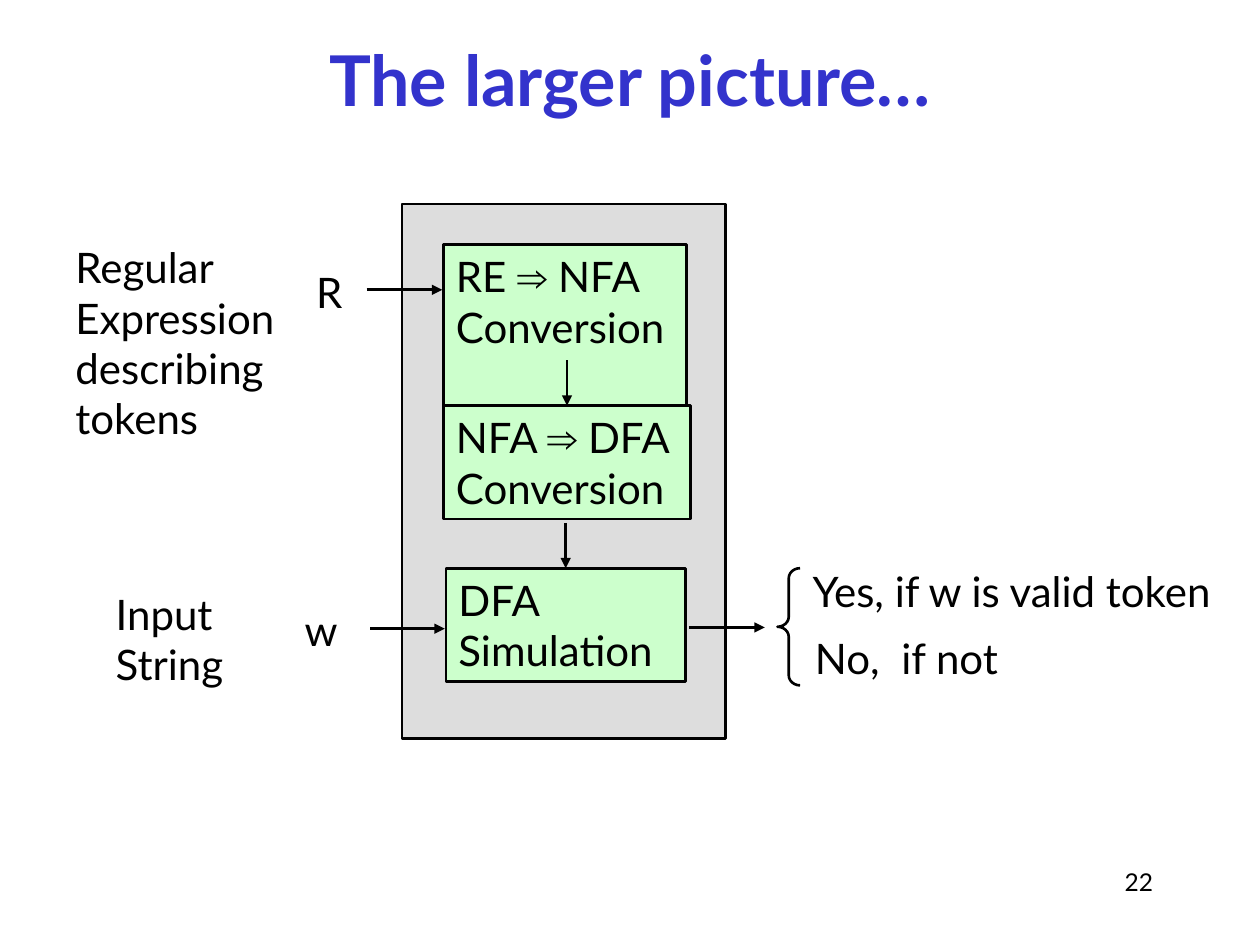
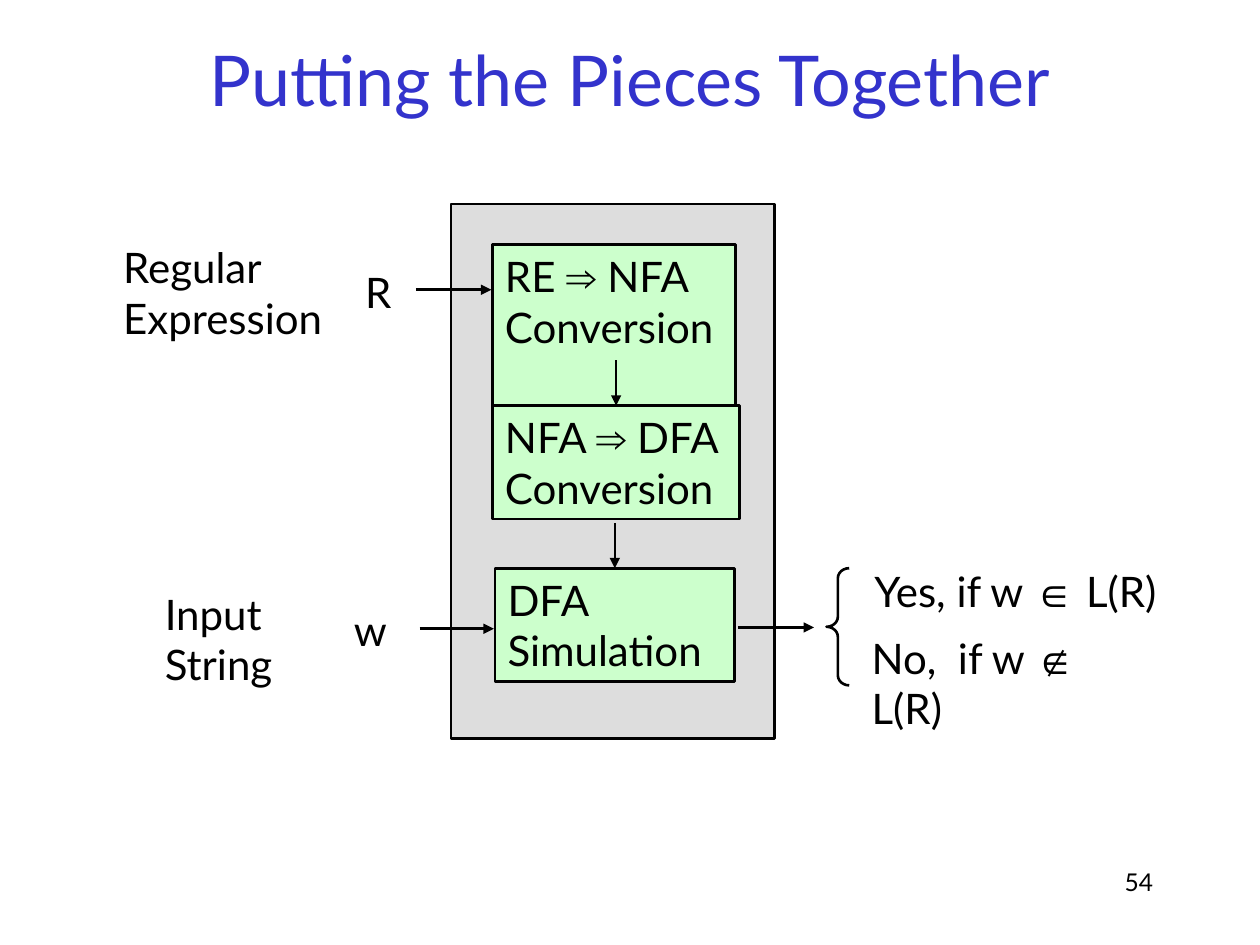
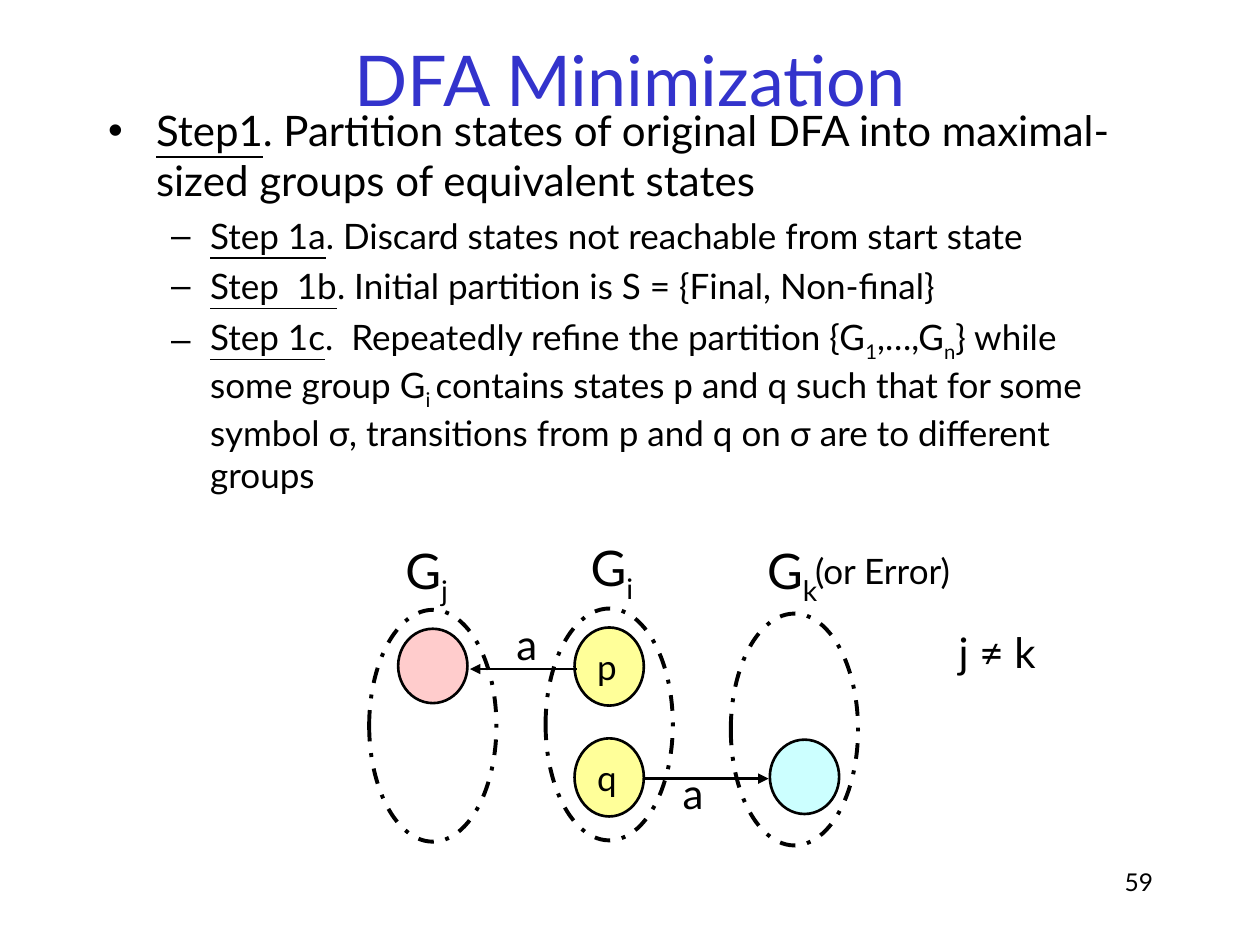
from dataclasses import dataclass

from lxml import etree
from pptx import Presentation
from pptx.dml.color import RGBColor
from pptx.enum.dml import MSO_LINE
from pptx.enum.shapes import MSO_CONNECTOR, MSO_SHAPE
from pptx.enum.text import MSO_ANCHOR, MSO_AUTO_SIZE, PP_ALIGN
from pptx.oxml.ns import qn
from pptx.util import Pt

PX = 9144  # 100 px to the inch
RECT, OVAL, BRACE = MSO_SHAPE.RECTANGLE, MSO_SHAPE.OVAL, MSO_SHAPE.LEFT_BRACE
STRAIGHT, DASH_DOT = MSO_CONNECTOR.STRAIGHT, MSO_LINE.DASH_DOT
LEFT, CENTER, RIGHT = PP_ALIGN.LEFT, PP_ALIGN.CENTER, PP_ALIGN.RIGHT
TOP, MIDDLE = MSO_ANCHOR.TOP, MSO_ANCHOR.MIDDLE
FIT, NO_FIT = MSO_AUTO_SIZE.SHAPE_TO_FIT_TEXT, MSO_AUTO_SIZE.NONE


@dataclass(frozen=True)
class Theme:
    font: str = "Lato"
    symbol: str = "Arial"
    ink: str = "000000"
    title: str = "3333CC"
    frame: str = "DDDDDD"
    step: str = "CCFFCC"
    state: str = "FFFF99"
    pink: str = "FFCCCC"
    cyan: str = "CCFFFF"
    head: int = 40
    group: int = 28
    text: int = 24
    small: int = 20
    page: int = 14
    thin: float = 1.5
    thick: float = 2.25


T = Theme()

# A paragraph is a list of runs; a run is a string or (string, style).
ARROW = ("⇒", "symbol")
STEPS = {
    "re": ((352, 194, 193, 130), [["RE ", ARROW, " NFA"], ["Conversion"]]),
    "nfa": ((352, 322, 196, 90), [["NFA ", ARROW, " DFA"], ["Conversion"]]),
    "dfa": ((354, 451, 190, 90), [["DFA"], ["Simulation"]]),
}
DROPS = [("nfa", 286), ("dfa", 415)]
FLOWS = [(291, 351, 230), (294, 353, 499), (547, 607, 498)]
INPUTS = [
    ((82, 462, 114, 90), [["Input"], ["String"]]),
    ((241, 207, 41, 50), [["R"]]),
    ((232, 475, 46, 50), [["w"]]),
]

PIPES = [
    dict(title="The larger picture…", bold=True, page=22, shift=0,
         labels=[
             ((50, 187, 199, 170), [["Regular"], ["Expression"], ["describing"], ["tokens"]], False),
             ((635, 444, 359, 50), [["Yes, if w is valid token"]], False),
             ((637, 497, 173, 50), [["No,  if not"]], False),
         ]),
    dict(title="Putting the Pieces Together", bold=False, page=54, shift=39,
         labels=[
             ((88, 187, 190, 90), [["Regular"], ["Expression"]], False),
             ((684, 444, 245, 50), [["Yes, if w ", ("∈", "strong"), " L(R)"]], False),
             ((682, 497, 230, 90), [["No,  if w ", ("∉", "strong"), " L(R)"]], True),
         ]),
]

MINIMIZE = [
    (0, [("Step1", "under"),
         ". Partition states of original DFA into maximal-sized groups of equivalent states"]),
    (1, [("Step 1a", "under"), ". Discard states not reachable from start state"]),
    (1, [("Step  1b", "under"), ". Initial partition is S = {Final, Non-final}"]),
    (1, [("Step 1c", "under"), ".  Repeatedly refine the partition {G", ("1", "sub"), ",…,G",
         ("n", "sub"), "} while some group G", ("i ", "sub"),
         "contains states p and q such that for some symbol σ, "
         "transitions from p and q on σ are to different groups"]),
]
LEVELS = [("•", 38, -38, T.text), ("–", 81, -31, T.small)]
GROUPS = [(433, 483), (580, 487), (293, 484)]
STATES = [
    ((456, 498, 55, 62), T.state, "p"),
    ((456, 586, 55, 62), T.state, "q"),
    ((316, 499, 55, 59), T.pink, ""),
    ((611, 587, 55, 59), T.cyan, ""),
]
MOVES = [(511, 610, 618), (458, 373, 531)]
MARKS = [
    ((459, 422, 54, 63), ["G", ("i", "sub")], T.group),
    ((599, 424, 60, 63), ["G", ("k", "sub")], T.group),
    ((312, 424, 54, 63), ["G", ("j", "sub")], T.group),
    ((400, 486, 38, 50), ["a"], T.text),
    ((532, 604, 38, 50), ["a"], T.text),
    ((637, 431, 139, 44), ["(or Error)"], T.small),
    ((751, 492, 83, 50), ["j ≠ k"], T.text),
]


def emu(box):
    return [n * PX for n in box]


def move(box, dx):
    return (box[0] + dx, *box[1:])


def rgb(code):
    return RGBColor.from_string(code)


def add_runs(para, runs, size, color=T.ink, bold=False, align=LEFT):
    para.alignment = align
    font = para.font
    font.name, font.size, font.bold = T.font, Pt(size), bold
    font.color.rgb = rgb(color)
    for item in runs:
        text, style = (item, "") if isinstance(item, str) else item
        run = para.add_run()
        run.text = text
        if style == "under":
            run.font.underline = True
        elif style == "sub":
            run.font._element.set("baseline", "-25000")
        elif style:
            run.font.name = T.symbol
            if style == "strong":
                run.font.bold = True


def write(shape, paras, size=T.text, wrap=True, fit=NO_FIT, anchor=TOP, **look):
    frame = shape.text_frame
    frame.word_wrap, frame.auto_size = wrap, fit
    frame.vertical_anchor = anchor
    for i, runs in enumerate(paras):
        para = frame.add_paragraph() if i else frame.paragraphs[0]
        add_runs(para, runs, size, **look)


def label(slide, box, paras, wrap=False, **look):
    shape = slide.shapes.add_textbox(*emu(box))
    write(shape, paras, wrap=wrap, fit=NO_FIT if wrap else FIT, **look)


def draw(slide, kind, box, fill=None, width=T.thin):
    shape = slide.shapes.add_shape(kind, *emu(box))
    shape.shadow.inherit = False
    if fill:
        shape.fill.solid()
        shape.fill.fore_color.rgb = rgb(fill)
    else:
        shape.fill.background()
    shape.line.color.rgb = rgb(T.ink)
    shape.line.width = Pt(width)
    return shape


def arrow(slide, x1, y1, x2, y2):
    line = slide.shapes.add_connector(STRAIGHT, *emu((x1, y1, x2, y2)))
    line.line.color.rgb = rgb(T.ink)
    line.line.width = Pt(T.thin)
    etree.SubElement(line.line._get_or_add_ln(), qn("a:tailEnd"), type="triangle")
    etree.SubElement(line._element.spPr, qn("a:effectLst"))
    return line


def start(deck, title, page, bold=False):
    """Add a slide with its title and page number."""
    slide = deck.slides.add_slide(deck.slide_layouts[5])
    head = slide.shapes.title
    head.left, head.top, head.width, head.height = emu((75, 0, 850, 125))
    write(head, [[title]], T.head, anchor=MIDDLE, color=T.title, bold=bold, align=CENTER)
    label(slide, (717, 683, 208, 50), [[str(page)]], wrap=True, size=T.page, align=RIGHT)
    return slide


def pipe_slide(deck, title, bold, page, shift, labels):
    slide = start(deck, title, page, bold)
    draw(slide, RECT, move((319, 162, 257, 424), shift), T.frame)
    shapes = {}
    for name, (box, paras) in STEPS.items():
        shapes[name] = draw(slide, RECT, move(box, shift), T.step)
        write(shapes[name], paras)
    for name, y in DROPS:
        left, top, width, _ = STEPS[name][0]
        x = left + width // 2 + shift
        arrow(slide, x, y, x, top).end_connect(shapes[name], 0)
    for x1, x2, y in FLOWS:
        arrow(slide, x1 + shift, y, x2 + shift, y)
    brace = draw(slide, BRACE, move((617, 451, 18, 93), shift))
    brace.adjustments[0] = 0.44
    for box, paras in INPUTS:
        label(slide, move(box, shift), paras)
    for box, paras, wrap in labels:
        label(slide, box, paras, wrap)


def outline(slide, box, items):
    """Write a bulleted list with two levels."""
    frame = slide.shapes.add_textbox(*emu(box)).text_frame
    frame.word_wrap = True
    for i, (level, runs) in enumerate(items):
        para = frame.add_paragraph() if i else frame.paragraphs[0]
        mark, margin, indent, size = LEVELS[level]
        para.level = level
        if i:
            para.space_before = Pt(5)
        props = para._p.get_or_add_pPr()
        props.set("marL", str(margin * PX))
        props.set("indent", str(indent * PX))
        etree.SubElement(props, qn("a:buFont"), typeface=T.symbol)
        etree.SubElement(props, qn("a:buChar"), char=mark)
        add_runs(para, runs, size)


def group_slide(deck):
    slide = start(deck, "DFA Minimization", 59)
    outline(slide, (76, 78, 839, 542), MINIMIZE)
    for x, y in GROUPS:
        ring = draw(slide, OVAL, (x, y, 101, 184), width=T.thick)
        ring.line.dash_style = DASH_DOT
    for box, fill, name in STATES:
        state = draw(slide, OVAL, box, fill)
        if name:
            write(state, [[name]], T.small, anchor=MIDDLE)
    for x1, x2, y in MOVES:
        arrow(slide, x1, y, x2, y)
    for box, runs, size in MARKS:
        label(slide, box, [runs], size=size, anchor=MIDDLE)


def main():
    deck = Presentation()
    deck.slide_width, deck.slide_height = emu((1000, 750))
    for pipe in PIPES:
        pipe_slide(deck, **pipe)
    group_slide(deck)
    deck.save("out.pptx")


if __name__ == "__main__":
    main()
